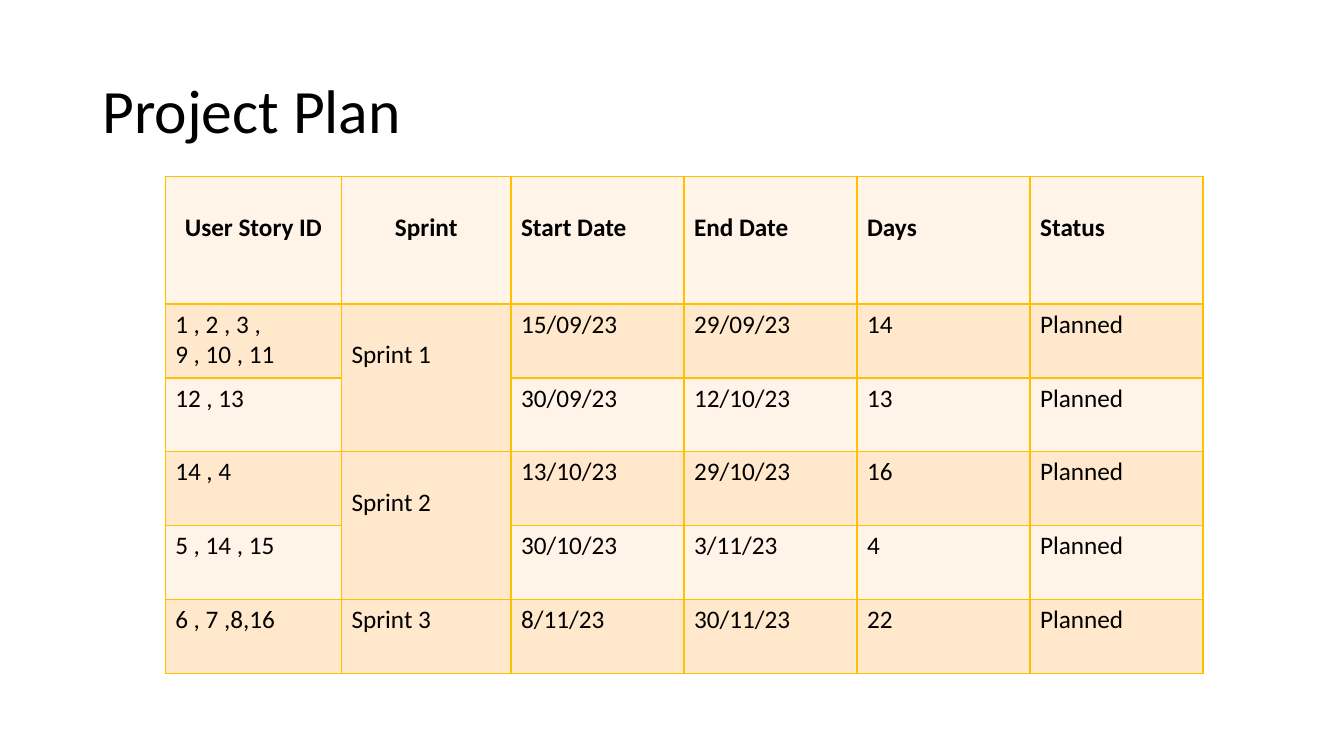
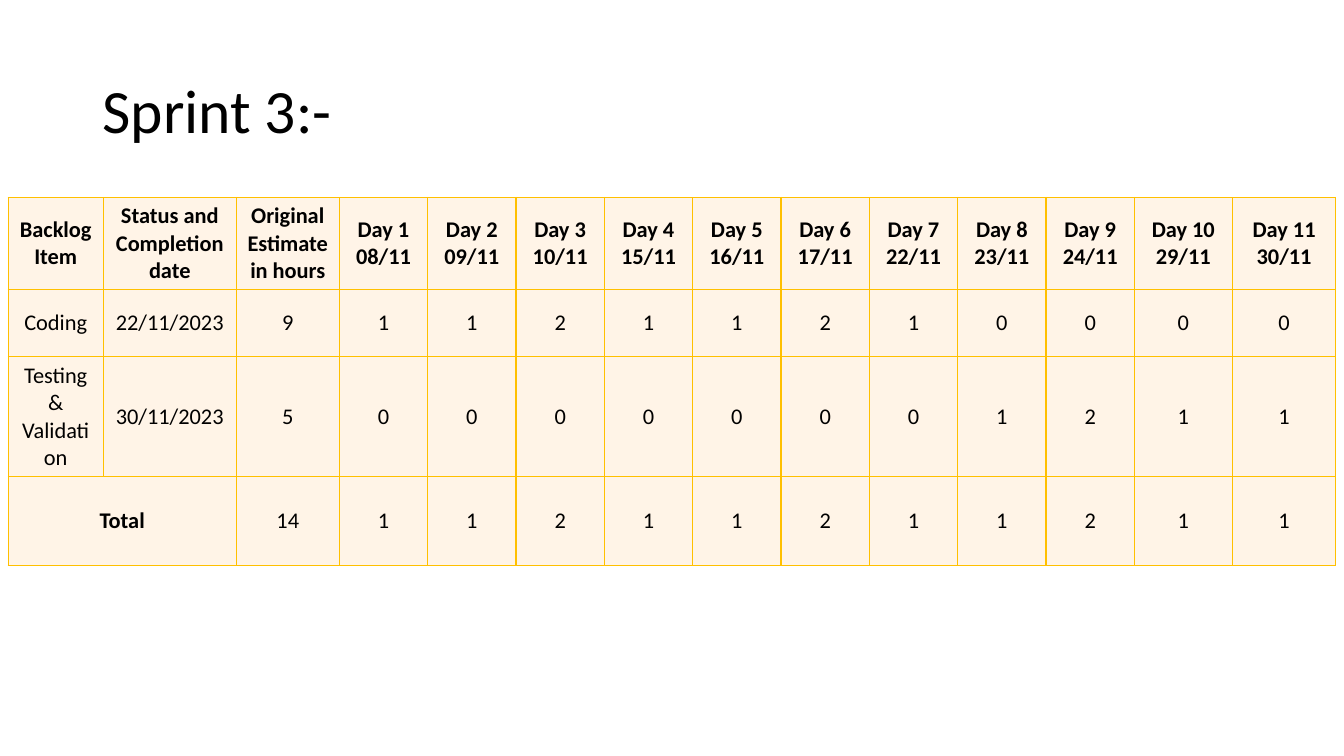
from lxml.etree import SubElement
from pptx import Presentation
from pptx.dml.color import RGBColor
from pptx.enum.text import MSO_ANCHOR, PP_ALIGN
from pptx.oxml.ns import qn
from pptx.util import Pt

COLORS = {"text": "000000", "light": "FFF4E7", "dark": "FFE8CC", "border": "FFC000"}
FONT = "Calibri"


def write(tf, text, size=18, bold=False, align=PP_ALIGN.LEFT, spacing=None):
    """Fill a text frame, one paragraph for each line of text."""
    tf.text = text
    for p in tf.paragraphs:
        p.alignment = align
        p.line_spacing = spacing
        for r in p.runs:
            r.font.name = FONT
            r.font.size = Pt(size)
            r.font.bold = bold
            r.font.color.rgb = RGBColor.from_string(COLORS["text"])


def add_grid(s, left, top, widths, heights, merges):
    """Add a bordered table in the light fill, with the given cells merged."""
    tbl = s.shapes.add_table(len(heights), len(widths), Pt(left), Pt(top),
                             Pt(sum(widths)), Pt(sum(heights))).table
    tbl.first_row = tbl.horz_banding = False
    for col, width in zip(tbl.columns, widths):
        col.width = Pt(width)
    for row, height in zip(tbl.rows, heights):
        row.height = Pt(height)
    for start, end in merges:
        tbl.cell(*start).merge(tbl.cell(*end))
    for cell in tbl.iter_cells():
        if cell.is_spanned:
            continue
        tcPr = cell._tc.get_or_add_tcPr()
        for side in ("a:lnL", "a:lnR", "a:lnT", "a:lnB"):
            ln = SubElement(tcPr, qn(side), w=str(Pt(1)))
            fill = SubElement(ln, qn("a:solidFill"))
            SubElement(fill, qn("a:srgbClr"), val=COLORS["border"])
        cell.fill.solid()
        cell.fill.fore_color.rgb = RGBColor.from_string(COLORS["light"])
    return tbl


prs = Presentation()
prs.slide_width, prs.slide_height = Pt(960), Pt(540)

# Slides and titles
slides = []
for heading in ("Project Plan", "Sprint 3:-"):
    s = prs.slides.add_slide(prs.slide_layouts[5])
    title = s.shapes.title
    title.left, title.top, title.width, title.height = Pt(66), Pt(28.8), Pt(828), Pt(104.4)
    title.text_frame.vertical_anchor = MSO_ANCHOR.MIDDLE
    write(title.text_frame, heading, size=44, spacing=0.9)
    slides.append(s)

# Project plan table
plan = [
    ["User Story ID", "Sprint", "Start Date", "End Date", "Days", "Status"],
    ["1 , 2 , 3 ,\n9 , 10 , 11", "Sprint 1", "15/09/23", "29/09/23", "14", "Planned"],
    ["12 , 13", "", "30/09/23", "12/10/23", "13", "Planned"],
    ["14 , 4", "Sprint 2", "13/10/23", "29/10/23", "16", "Planned"],
    ["5 , 14 , 15", "", "30/10/23", "3/11/23", "4", "Planned"],
    ["6 , 7 ,8,16", "Sprint 3", "8/11/23", "30/11/23", "22", "Planned"],
]
tbl = add_grid(slides[0], 118, 126, [126, 121] + [123.6] * 4, [91.2] + [52.8] * 5,
               [((1, 1), (2, 1)), ((3, 1), (4, 1))])
for i, row in enumerate(plan):
    for j, text in enumerate(row):
        cell = tbl.cell(i, j)
        if cell.is_spanned:
            continue
        if i % 2:
            cell.fill.fore_color.rgb = RGBColor.from_string(COLORS["dark"])
        if i == 0 or cell.is_merge_origin:
            cell.margin_top = Pt(25.6)  # text starts one line lower
        write(cell.text_frame, text, bold=i == 0,
              align=PP_ALIGN.CENTER if i == 0 and j < 2 else PP_ALIGN.LEFT)

# Sprint 3 table
dates = ["08/11", "09/11", "10/11", "15/11", "16/11", "17/11",
         "22/11", "23/11", "24/11", "29/11", "30/11"]
sprint = [
    ["Backlog Item", "Status and\nCompletion date", "Original Estimate in hours"]
    + [f"Day {n}\n{date}" for n, date in enumerate(dates, 1)],
    ["Coding", "22/11/2023", 9, 1, 1, 2, 1, 1, 2, 1, 0, 0, 0, 0],
    ["Testing &\nValidation", "30/11/2023", 5, 0, 0, 0, 0, 0, 0, 0, 1, 2, 1, 1],
]
sprint.append(["Total", ""] + [a + b for a, b in zip(sprint[1][2:], sprint[2][2:])])
tbl = add_grid(slides[1], 5.8, 141, [68, 95, 73.6] + [63.1] * 9 + [70, 74],
               [63.4, 48, 52.8, 63.4], [((3, 0), (3, 1))])
for i, row in enumerate(sprint):
    for j, value in enumerate(row):
        cell = tbl.cell(i, j)
        if cell.is_spanned:
            continue
        cell.vertical_anchor = MSO_ANCHOR.MIDDLE
        write(cell.text_frame, str(value), size=16, bold=i == 0 or value == "Total",
              align=PP_ALIGN.CENTER)

prs.save("out.pptx")
